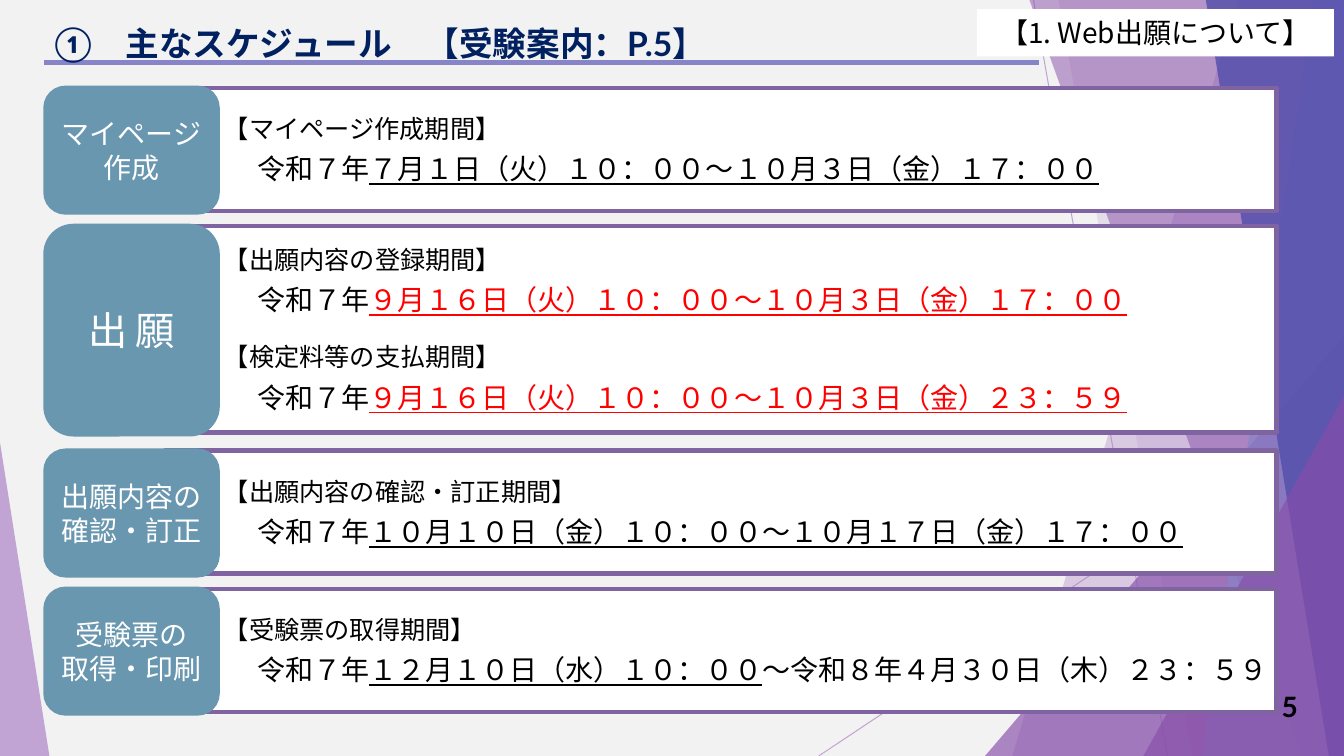
from lxml.etree import SubElement
from pptx import Presentation
from pptx.dml.color import RGBColor
from pptx.enum.shapes import MSO_CONNECTOR, MSO_SHAPE
from pptx.enum.text import MSO_ANCHOR, PP_ALIGN
from pptx.oxml.ns import qn
from pptx.util import Pt

PX = 9144
WIDTH, HEIGHT = 1333, 750
LATO, NOTO = "Lato", "Noto Sans CJK JP"
COLORS = {
    "bg": "F2F2F2", "white": "FFFFFF", "black": "000000", "red": "FF0000",
    "navy": "002060", "teal": "6997AF", "border": "8064A2", "lilac": "AD84C6",
    "purple": "874EA9", "lavender": "8784C7", "indigo": "524EAB",
}


class Slide:
    """Draws styled elements on one slide, with lengths in px."""

    def __init__(self, prs):
        self.s = prs.slides.add_slide(prs.slide_layouts[6])
        self.paint(self.s.background.fill, "bg")

    def paint(self, fill, color, alpha=100):
        fill.solid()
        fill.fore_color.rgb = RGBColor.from_string(COLORS[color])
        if alpha < 100:
            clr = fill._xPr.find(qn("a:solidFill"))[0]
            SubElement(clr, qn("a:alpha")).set("val", str(alpha * 1000))

    def finish(self, sp, color, alpha=100, line=None, width=0):
        sp.shadow.inherit = False
        self.paint(sp.fill, color, alpha)
        if line:
            self.paint(sp.line.fill, line)
            sp.line.width = Pt(width)
        else:
            sp.line.fill.background()
        return sp

    def shape(self, kind, box, color, alpha=100, line=None, width=0):
        sp = self.s.shapes.add_shape(kind, *(v * PX for v in box))
        return self.finish(sp, color, alpha, line, width)

    def band(self, top, bottom, color, alpha):
        fb = self.s.shapes.build_freeform(top, 0, scale=PX)
        fb.add_line_segments([(WIDTH, 0), (WIDTH, HEIGHT), (bottom, HEIGHT)])
        self.finish(fb.convert_to_shape(), color, alpha)

    def triangle(self, box, apex, color, alpha):
        sp = self.shape(MSO_SHAPE.ISOSCELES_TRIANGLE, box, color, alpha)
        sp.adjustments[0] = apex

    def line(self, ends, color, width, alpha=100):
        cn = self.s.shapes.add_connector(
            MSO_CONNECTOR.STRAIGHT, *(v * PX for v in ends))
        self.paint(cn.line.fill, color, alpha)
        cn.line.width = Pt(width)
        SubElement(cn._element.spPr, qn("a:effectLst"))

    def style(self, r, size, font, color, bold=False, underline=False):
        r.font.size, r.font.name = Pt(size), font
        r.font.bold, r.font.underline = bold, underline
        r.font.color.rgb = RGBColor.from_string(COLORS[color])
        SubElement(r._r.get_or_add_rPr(), qn("a:ea")).set("typeface", font)

    def label(self, sp, text, size, font, color, align=PP_ALIGN.CENTER,
              anchor=MSO_ANCHOR.MIDDLE, bold=False):
        tf = sp.text_frame
        tf.word_wrap, tf.vertical_anchor = True, anchor
        tf.text = text
        for p in tf.paragraphs:
            p.alignment, p.line_spacing = align, Pt(size * 1.2)
            for r in p.runs:
                self.style(r, size, font, color, bold)

    def text(self, box, *args, **kwargs):
        sp = self.s.shapes.add_textbox(*(v * PX for v in box))
        self.label(sp, *args, **kwargs)

    def panel(self, box, periods, color, heading_font):
        sp = self.shape(MSO_SHAPE.RECTANGLE, box, "white", line="border", width=3)
        tf = sp.text_frame
        tf.word_wrap, tf.vertical_anchor = True, MSO_ANCHOR.MIDDLE
        tf.margin_left = tf.margin_right = 8 * PX
        tf.margin_top = tf.margin_bottom = 8 * PX
        for i, (heading, marked, rest) in enumerate(periods):
            p = tf.add_paragraph() if i else tf.paragraphs[0]
            self.indent(p, 50, 18 if i else 0, 18)
            self.run(p, heading, 18, heading_font, "black")
            p = tf.add_paragraph()
            self.indent(p, 83, 6, 20)
            self.run(p, "令和７年", 20, NOTO, "black")
            self.run(p, marked, 20, NOTO, color, underline=True)
            if rest:
                self.run(p, rest, 20, NOTO, "black")

    def indent(self, p, left, before, size):
        p.alignment = PP_ALIGN.LEFT
        p.space_before, p.line_spacing = Pt(before), Pt(size * 1.2)
        p._p.get_or_add_pPr().set("marL", str(left * PX))

    def run(self, p, text, *args, **kwargs):
        r = p.add_run()
        r.text = text
        self.style(r, *args, **kwargs)

    def row(self, top, height, label, size, periods, color="black",
            heading_font=LATO):
        self.panel((164, top + 1, 1102, height - 4), periods, color, heading_font)
        sp = self.shape(MSO_SHAPE.ROUNDED_RECTANGLE, (44, top, 173, height),
                        "teal", line="teal", width=1.5)
        self.label(sp, label, size, NOTO, "white")


def main():
    prs = Presentation()
    prs.slide_width, prs.slide_height = WIDTH * PX, HEIGHT * PX
    s = Slide(prs)

    s.line((1025, 0, 1158, HEIGHT), "lilac", 0.75, 70)
    s.line((WIDTH, 403, 812, HEIGHT), "lilac", 0.75, 70)
    s.band(1228, 1004, "lilac", 36)
    s.band(1050, 1183, "lilac", 20)
    s.triangle((977, 333, 356, 417), 1, "purple", 66)
    s.band(1021, 1291, "purple", 50)
    s.band(1303, 1192, "lavender", 70)
    s.band(1196, 1318, "indigo", 80)
    s.triangle((1134, 393, 199, 357), 1, "purple", 66)
    s.triangle((0, 439, 49, 311), 0, "lilac", 70)

    s.line((44, 62, 1030, 62), "lavender", 3)
    s.text((1222, 681, 75, 40), "5", 20, LATO, "black",
           align=PP_ALIGN.RIGHT, bold=True)
    s.text((44, 18, 940, 62), "①　主なスケジュール　【受験案内：P.5】", 24, LATO,
           "navy", align=PP_ALIGN.LEFT, anchor=MSO_ANCHOR.TOP, bold=True)

    s.row(223, 209, "出 願", 28, [
        ("【出願内容の登録期間】",
         "９月１６日（火）１０：００～１０月３日（金）１７：００", ""),
        ("【検定料等の支払期間】",
         "９月１６日（火）１０：００～１０月３日（金）２３：５９", ""),
    ], color="red", heading_font=NOTO)
    s.row(86, 126, "マイページ\n作成", 20, [
        ("【マイページ作成期間】",
         "７月１日（火）１０：００～１０月３日（金）１７：００", "")])
    s.row(446, 126, "出願内容の確認・訂正", 20, [
        ("【出願内容の確認・訂正期間】",
         "１０月１０日（金）１０：００～１０月１７日（金）１７：００", "")])
    s.row(583, 126, "受験票の\n取得・印刷", 20, [
        ("【受験票の取得期間】",
         "１２月１０日（水）１０：００", "～令和８年４月３０日（木）２３：５９")])

    sp = s.shape(MSO_SHAPE.RECTANGLE, (969, 9, 354, 47), "white")
    s.label(sp, "【1. Web出願について】", 20, NOTO, "black")
    prs.save("out.pptx")


if __name__ == "__main__":
    main()
